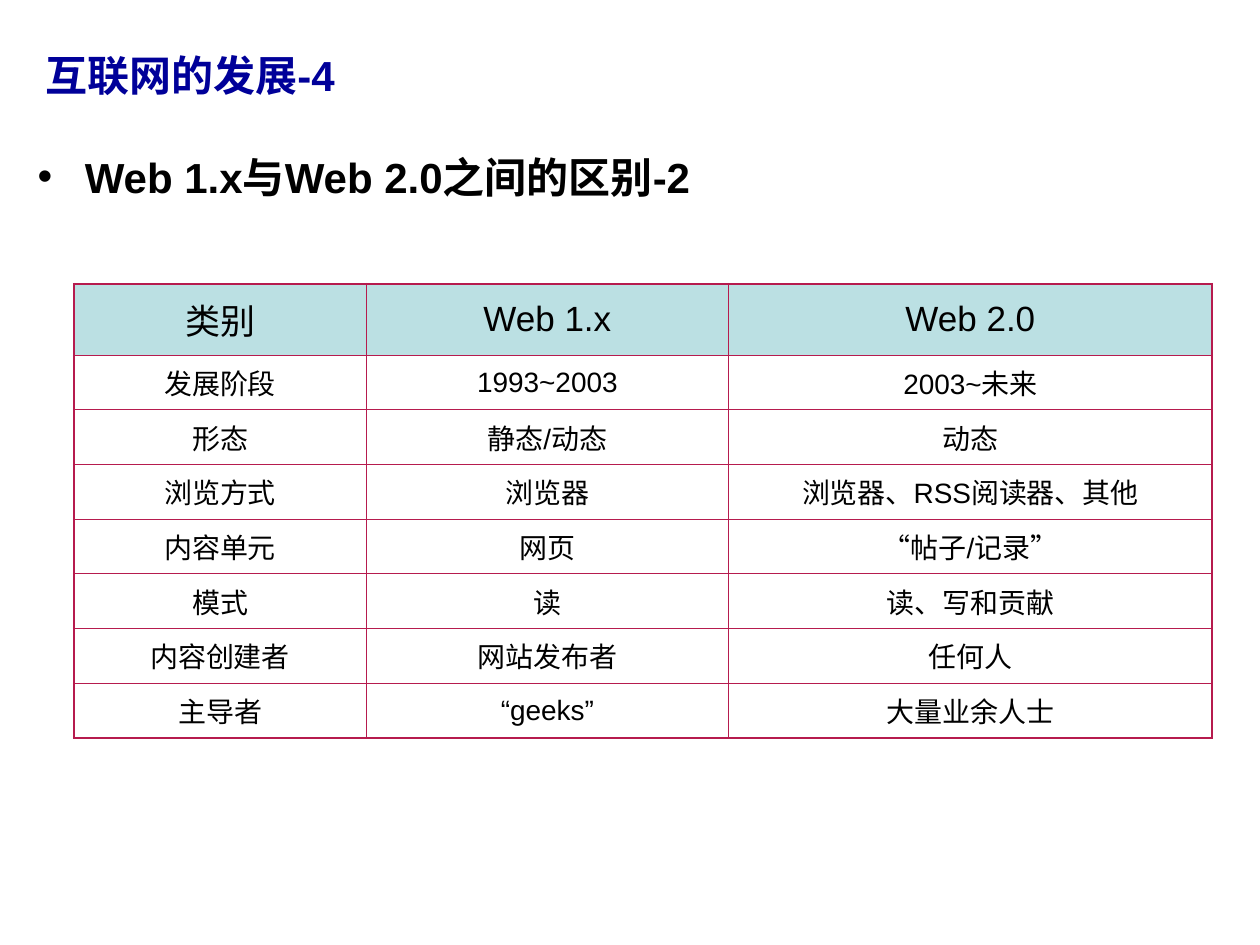
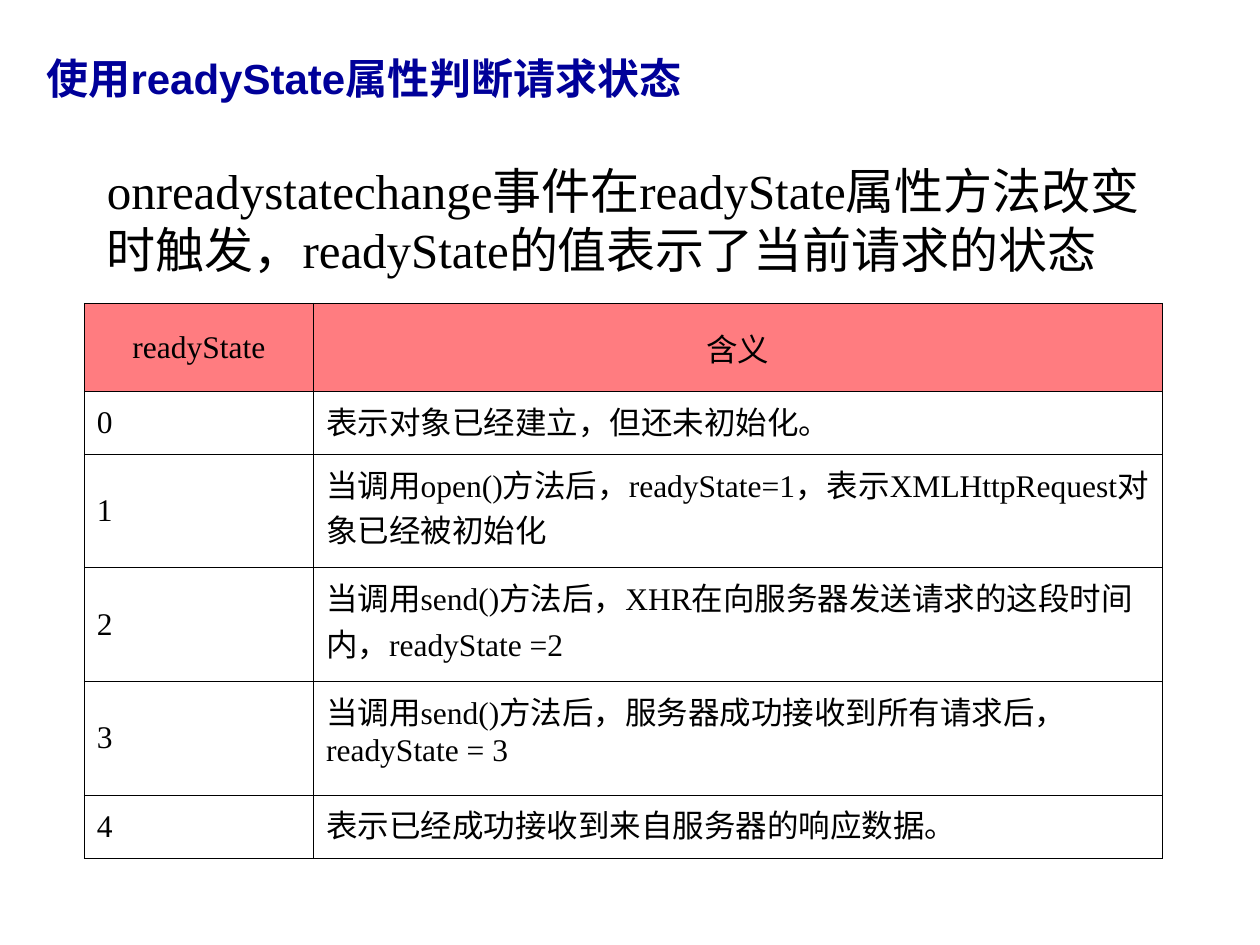
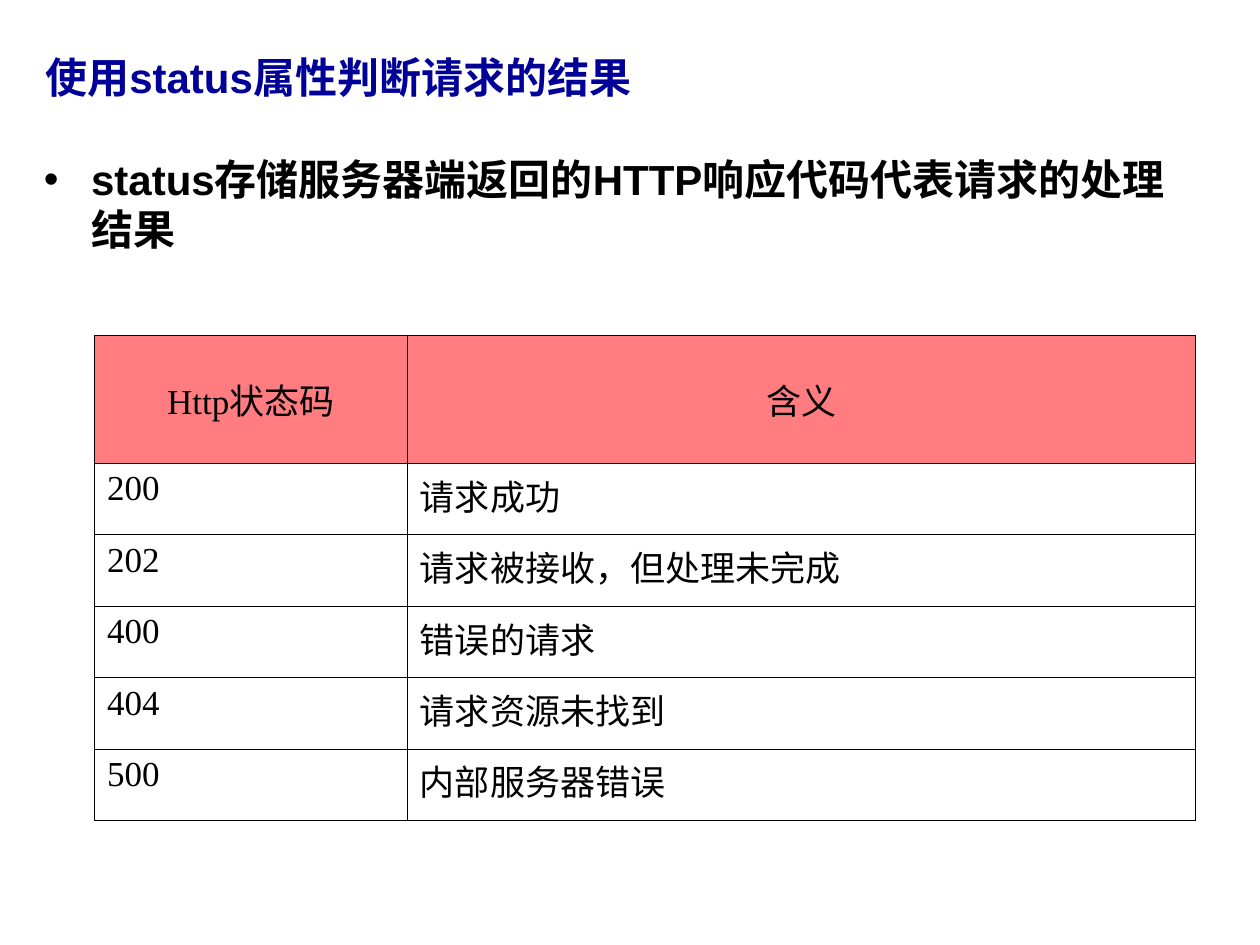
from dataclasses import dataclass

from lxml import etree
from pptx import Presentation
from pptx.dml.color import RGBColor as Color
from pptx.enum.text import MSO_ANCHOR as Anchor, MSO_AUTO_SIZE as AutoSize, PP_ALIGN as Align
from pptx.oxml.ns import qn
from pptx.util import Pt


@dataclass(frozen=True)
class Theme:
    sans: str = "Arial"
    serif: str = "Times New Roman"
    title_color: str = "000099"
    ink: str = "000000"
    comparison_line: str = "B61B4E"
    comparison_header: str = "BBE0E3"
    code_header: str = "FF7C80"
    heading_size: float = 24
    intro_size: float = 28
    table_large: float = 20
    table_medium: float = 18
    table_small: float = 16
    thick: float = 1.5
    thin: float = 0.35
    code_line: float = 0.45
    bullet_indent: float = 27


THEME = Theme()


# Text
def add_bullet(paragraph):
    properties = paragraph._p.get_or_add_pPr()
    indent = Pt(THEME.bullet_indent)
    properties.set("marL", str(indent))
    properties.set("indent", str(-indent))
    bullet_color = etree.SubElement(properties, qn("a:buClr"))
    etree.SubElement(bullet_color, qn("a:srgbClr"), val=THEME.ink)
    etree.SubElement(properties, qn("a:buFont"), typeface=THEME.sans)
    etree.SubElement(properties, qn("a:buChar"), char="•")


def write_text(frame, text, *, size, font=THEME.sans, color=THEME.ink, bold=False,
               align=Align.LEFT, bullet=False):
    frame.word_wrap = True
    paragraph = frame.paragraphs[0]
    paragraph.alignment = align
    if bullet:
        add_bullet(paragraph)
    run = paragraph.add_run()
    run.text = text
    run.font.size = Pt(size)
    run.font.name = font
    run.font.bold = bold
    run.font.color.rgb = Color.from_string(color)


def add_text_box(slide, box, text, *, anchor=Anchor.TOP, **text_format):
    frame = slide.shapes.add_textbox(*map(Pt, box)).text_frame
    frame.vertical_anchor = anchor
    write_text(frame, text, **text_format)


def add_titled_slide(presentation, title, left, top):
    slide = presentation.slides.add_slide(presentation.slide_layouts[5])
    shape = slide.shapes.title
    shape.left, shape.top, shape.width, shape.height = map(Pt, (left, top, 468, 49.7))
    shape.text_frame.auto_size = AutoSize.NONE
    shape.text_frame.vertical_anchor = Anchor.MIDDLE
    write_text(shape.text_frame, title, size=THEME.heading_size,
               color=THEME.title_color, bold=True)
    return slide


# Tables
def set_borders(cell, color, widths):
    properties = cell._tc.get_or_add_tcPr()
    for side, width in zip("LRTB", widths):
        line = etree.SubElement(properties, qn(f"a:ln{side}"), w=str(Pt(width)))
        fill = etree.SubElement(line, qn("a:solidFill"))
        etree.SubElement(fill, qn("a:srgbClr"), val=color)


def add_grid(slide, left, top, columns, heights, rows, *, header_fill, line_color,
             inner, outer, size, font, body_align=Align.LEFT, body_anchors):
    last_row, last_column = len(rows) - 1, len(columns) - 1
    box = (left, top, sum(columns), sum(heights))
    table = slide.shapes.add_table(len(rows), len(columns), *map(Pt, box)).table
    table.first_row = table.horz_banding = False
    for column, width in zip(table.columns, columns):
        column.width = Pt(width)
    for row, height in zip(table.rows, heights):
        row.height = Pt(height)

    for r, texts in enumerate(rows):
        for c, text in enumerate(texts):
            cell = table.cell(r, c)
            header = r == 0
            edges = (c == 0, c == last_column, r == 0, r == last_row)
            set_borders(cell, line_color, [outer if edge else inner for edge in edges])
            if header:
                cell.fill.solid()
                cell.fill.fore_color.rgb = Color.from_string(header_fill)
            else:
                cell.fill.background()
            cell.vertical_anchor = Anchor.MIDDLE if header else body_anchors[c]
            write_text(cell.text_frame, text, font=font,
                       size=size[0] if header else size[1],
                       align=Align.CENTER if header else body_align)


def add_code_table(slide, left, top, columns, heights, rows, size, body_anchors):
    add_grid(slide, left, top, columns, heights, rows,
             header_fill=THEME.code_header, line_color=THEME.ink,
             inner=THEME.code_line, outer=THEME.code_line, size=(size, size),
             font=THEME.serif, body_anchors=body_anchors)


# Slides
def build_web_comparison(presentation):
    slide = add_titled_slide(presentation, "互联网的发展-4", 18.7, 18)
    add_text_box(slide, (14.4, 82.8, 663, 368), "Web 1.x与Web 2.0之间的区别-2",
                 size=THEME.heading_size, bold=True, bullet=True)
    rows = [
        ("类别", "Web 1.x", "Web 2.0"),
        ("发展阶段", "1993~2003", "2003~未来"),
        ("形态", "静态/动态", "动态"),
        ("浏览方式", "浏览器", "浏览器、RSS阅读器、其他"),
        ("内容单元", "网页", "“帖子/记录”"),
        ("模式", "读", "读、写和贡献"),
        ("内容创建者", "网站发布者", "任何人"),
        ("主导者", "“geeks”", "大量业余人士"),
    ]
    add_grid(slide, 42.3, 162.3, (167, 207, 276.5), [40.6] + [31.25] * 7, rows,
             header_fill=THEME.comparison_header, line_color=THEME.comparison_line,
             inner=THEME.thin, outer=THEME.thick,
             size=(THEME.table_large, THEME.table_small), font=THEME.sans,
             body_align=Align.CENTER, body_anchors=[Anchor.MIDDLE] * 3)


def build_ready_state(presentation):
    slide = add_titled_slide(presentation, "使用readyState属性判断请求状态", 19.4, 19.4)
    add_text_box(slide, (54, 71.3, 607, 108),
                 "onreadystatechange事件在readyState属性方法改变时触发，"
                 "readyState的值表示了当前请求的状态",
                 size=THEME.intro_size, font=THEME.serif, anchor=Anchor.MIDDLE)
    rows = [
        ("readyState", "含义"),
        ("0", "表示对象已经建立，但还未初始化。"),
        ("1", "当调用open()方法后，readyState=1，表示XMLHttpRequest对象已经被初始化"),
        ("2", "当调用send()方法后，XHR在向服务器发送请求的这段时间内，readyState =2"),
        ("3", "当调用send()方法后，服务器成功接收到所有请求后，readyState = 3"),
        ("4", "表示已经成功接收到来自服务器的响应数据。"),
    ]
    add_code_table(slide, 48.2, 173.3, (131, 485), [50.3, 36, 64.9, 64.9, 64.9, 36],
                   rows, THEME.table_medium, (Anchor.MIDDLE, Anchor.TOP))


def build_status(presentation):
    slide = add_titled_slide(presentation, "使用status属性判断请求的结果", 18.7, 19)
    add_text_box(slide, (18, 84.2, 667.4, 79.2),
                 "status存储服务器端返回的HTTP响应代码代表请求的处理结果",
                 size=THEME.heading_size, bold=True, bullet=True)
    rows = [
        ("Http状态码", "含义"),
        ("200", "请求成功"),
        ("202", "请求被接收，但处理未完成"),
        ("400", "错误的请求"),
        ("404", "请求资源未找到"),
        ("500", "内部服务器错误"),
    ]
    add_code_table(slide, 54, 191.6, (178.8, 450.4), [73.2] + [40.8] * 5,
                   rows, THEME.table_large, (Anchor.TOP, Anchor.TOP))


def main():
    presentation = Presentation()
    presentation.slide_width, presentation.slide_height = Pt(720), Pt(540)
    build_web_comparison(presentation)
    build_ready_state(presentation)
    build_status(presentation)
    presentation.save("out.pptx")


if __name__ == "__main__":
    main()
